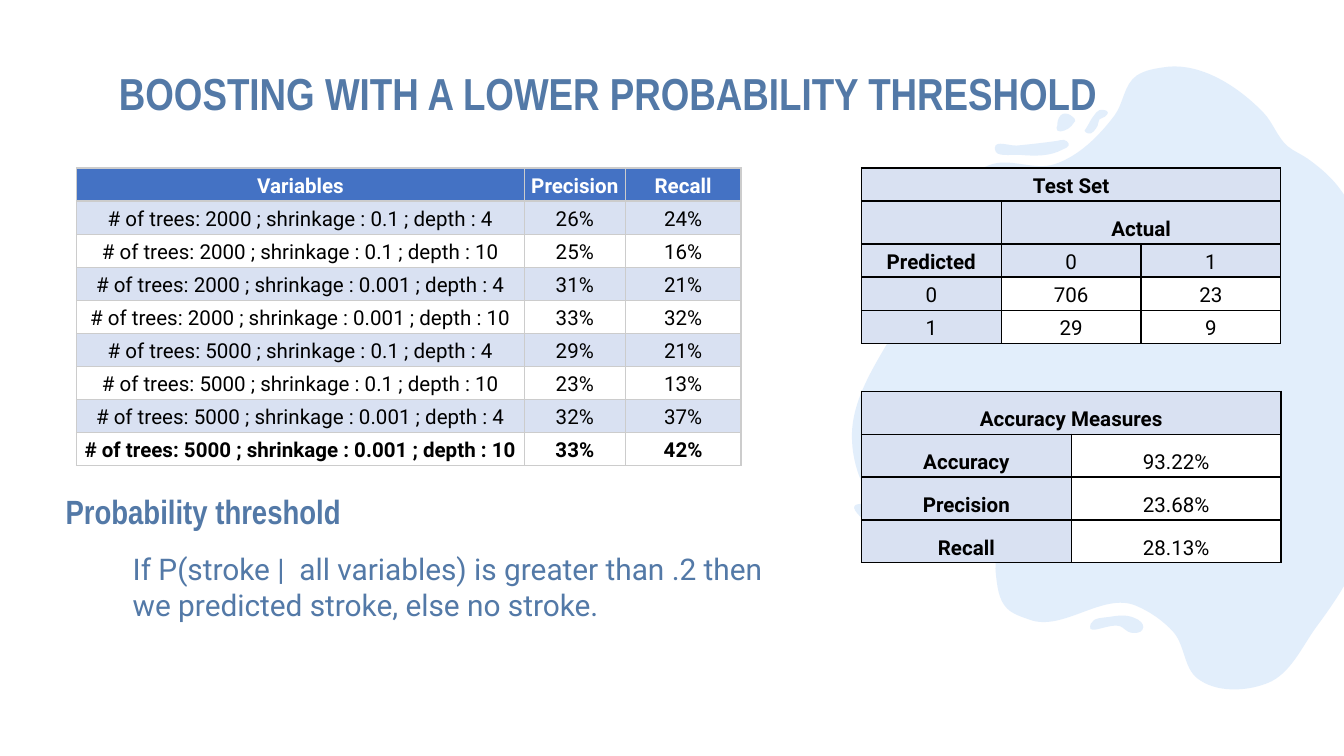
"""Build the slide on boosting with a lower probability threshold."""
import dataclasses
import math
import typing

import lxml.etree
import pptx
import pptx.dml.color
import pptx.enum.text
import pptx.oxml.ns
import pptx.util

Pt = pptx.util.Pt
qn = pptx.oxml.ns.qn
SubElement = lxml.etree.SubElement
ALIGN = pptx.enum.text.PP_ALIGN
ANCHOR = pptx.enum.text.MSO_ANCHOR
COLORS = {"ink": "5379A7", "blob": "9EC5F3", "header": "4472C4", "band": "D9E1F2",
          "grid": "CCCCCC", "black": "000000", "white": "FFFFFF"}
Point = tuple[float, float]

BLOB = [
    (456.5, 237), (486, 165), (508, 124.5), (507.5, 120), (506, 109.5), (530, 88.5), (565, 88),
    (597, 62), (609, 40.5), (624, 36), (677, 60.5), (690, 78.5), (700.5, 85), (716.5, 99.5),
    (726, 116), (728.5, 134), (729.5, 136), (722, 151), (726.5, 173), (726.5, 175), (723, 207.5),
    (729.5, 283), (729.5, 289), (728.5, 296.5), (723.5, 307.5), (705.5, 335.5), (679, 366),
    (641.5, 363.5), (628.5, 338.5), (608.5, 324.5), (551.5, 332), (539.5, 326), (533.5, 307.5),
    (533.5, 296.5), (533.5, 292.5), (523.5, 269.5), (512, 268), (471.5, 270.5), (457, 242),
]
SPLASHES = [
    [(533, 80), (533, 79), (545, 78), (566.5, 75.5), (570, 75), (572.5, 77), (572.5, 78),
     (569.5, 80), (546.5, 83)],
    [(566, 68.5), (566.5, 67), (566.5, 66), (569.5, 61), (574.5, 62.5), (576, 65), (575.5, 65.5),
     (574, 67.5), (570, 70), (566.5, 70)],
    [(581, 70), (582, 68.5), (586, 62), (589, 59), (593.5, 60.5), (592, 62.5), (589, 64),
     (588, 67.5), (583, 71.5)],
    [(458.5, 270.5), (461.5, 270), (468, 275), (476, 278), (494, 276.5), (497.5, 277), (498, 278),
     (496, 281), (487.5, 283.5), (471, 283), (467.5, 282), (464.5, 280)],
    [(478, 291), (478, 290), (479.5, 288.5), (484, 287.5), (487.5, 288.5), (487.5, 289.5),
     (486.5, 292.5), (483, 293), (479.5, 293)],
    [(493, 294.5), (494.5, 290), (498, 288), (503.5, 288.5), (507.5, 288), (512, 288),
     (512, 289.5), (510.5, 292.5), (505.5, 294), (502, 296), (500.5, 299)],
    [(584, 335.5), (584.5, 334), (594.5, 330.5), (607.5, 331), (611.5, 333.5), (612.5, 336),
     (612, 337.5), (606, 339), (600, 335.5)],
]


@dataclasses.dataclass
class Cell:
    text: str = ""
    fill: str | None = "band"
    bold: bool = False
    color: str = "black"
    span: int = 1


@dataclasses.dataclass
class Grid:
    left: float
    top: float
    widths: list[float]
    heights: list[float]
    border: str
    rows: list[list[Cell]]


@dataclasses.dataclass
class Label:
    text: str
    box: tuple[float, float, float, float]
    font: str
    size: float
    bold: bool = False
    indent: float = 0
    after: float = 0
    spacing: float = 1.0


def apply(obj: typing.Any, values: dict[str, typing.Any]) -> None:
    for name, value in values.items():
        setattr(obj, name, value)


def paint(fill: typing.Any, color: str) -> None:
    fill.solid()
    fill.fore_color.rgb = pptx.dml.color.RGBColor.from_string(COLORS[color])


def add_run(p: typing.Any, text: str, font: str, size: float, bold: bool, color: str) -> None:
    r = p.add_run()
    r.text = text
    apply(r.font, {"name": font, "size": Pt(size), "bold": bold})
    paint(r.font.fill, color)


def tangent(a: Point, b: Point, c: Point) -> Point:
    before, after = math.dist(a, b) ** 2, math.dist(b, c) ** 2
    x, y = ((b[k] - a[k]) / before + (c[k] - b[k]) / after for k in (0, 1))
    return x / math.hypot(x, y), y / math.hypot(x, y)


def draw_splash(slide: typing.Any, knots: list[Point]) -> None:
    start, *rest = [(Pt(x), Pt(y)) for x, y in knots]
    builder = slide.shapes.build_freeform(*start)
    builder.add_line_segments([*rest, start], close=True)
    sp = builder.convert_to_shape()
    sp.shadow.inherit = False
    sp.line.fill.background()
    paint(sp.fill, "blob")
    color = sp._element.spPr.find(".//" + qn("a:srgbClr"))
    SubElement(color, qn("a:alpha"), val="29000")
    ends = list(sp._element.iter(qn("a:pt")))
    spots = [(int(pt.get("x")), int(pt.get("y"))) for pt in ends[:-1]]
    n = len(spots)
    slopes = [tangent(spots[i - 1], spots[i], spots[(i + 1) % n]) for i in range(n)]
    for i, pt in enumerate(ends[1:]):
        j = (i + 1) % n
        reach = math.dist(spots[i], spots[j]) / 3
        segment = pt.getparent()
        segment.tag = qn("a:cubicBezTo")
        for index, (k, sign) in enumerate(((i, 1), (j, -1))):
            x, y = (round(spots[k][d] + sign * reach * slopes[k][d]) for d in (0, 1))
            segment.insert(index, lxml.etree.Element(qn("a:pt"), x=str(x), y=str(y)))


def draw_borders(tc: typing.Any, color: str) -> None:
    for side in ("a:lnL", "a:lnR", "a:lnT", "a:lnB"):
        ln = SubElement(tc.get_or_add_tcPr(), qn(side), w=str(Pt(0.75)))
        SubElement(SubElement(ln, qn("a:solidFill")), qn("a:srgbClr"), val=COLORS[color])


def draw_cell(target: typing.Any, cell: Cell) -> None:
    apply(target, {"vertical_anchor": ANCHOR.BOTTOM, "margin_left": Pt(2), "margin_right": Pt(2),
                   "margin_top": Pt(1.5), "margin_bottom": Pt(1.5)})
    if cell.fill:
        paint(target.fill, cell.fill)
    p = target.text_frame.paragraphs[0]
    apply(p, {"alignment": ALIGN.CENTER, "line_spacing": 1.15})
    if cell.text:
        add_run(p, cell.text, "Roboto", 11, cell.bold, cell.color)
    else:
        SubElement(p._p, qn("a:endParaRPr"), sz="1100")


def draw_grid(slide: typing.Any, grid: Grid) -> None:
    box = map(Pt, (grid.left, grid.top, sum(grid.widths), sum(grid.heights)))
    table = slide.shapes.add_table(len(grid.heights), len(grid.widths), *box).table
    apply(table, {"first_row": False, "horz_banding": False})
    table._tbl.tblPr.find(qn("a:tableStyleId")).text = "{2D5ABB26-0587-4C30-8999-92F81FD0307C}"
    for column, width in zip(table.columns, grid.widths):
        column.width = Pt(width)
    for i, (row, height) in enumerate(zip(grid.rows, grid.heights)):
        table.rows[i].height = Pt(height)
        for target in table.rows[i].cells:
            draw_borders(target._tc, grid.border)
        j = 0
        for cell in row:
            if cell.span > 1:
                table.cell(i, j).merge(table.cell(i, j + cell.span - 1))
            draw_cell(table.cell(i, j), cell)
            j += cell.span


def draw_label(sp: typing.Any, label: Label) -> None:
    apply(sp, dict(zip(("left", "top", "width", "height"), map(Pt, label.box))))
    tf = sp.text_frame
    apply(tf, {"word_wrap": True, "vertical_anchor": ANCHOR.MIDDLE})
    apply(tf, {f"margin_{side}": Pt(7.2) for side in ("left", "right", "top", "bottom")})
    p = tf.paragraphs[0]
    apply(p, {"alignment": ALIGN.LEFT, "space_after": Pt(label.after),
              "line_spacing": label.spacing})
    p._p.get_or_add_pPr().set("marL", str(Pt(label.indent)))
    add_run(p, label.text, label.font, label.size, label.bold, "ink")


def tuning_rows() -> list[list[Cell]]:
    scores = iter("26% 24% 25% 16% 31% 21% 33% 32% 29% 21% 23% 13% 32% 37% 33% 42%".split())
    rows = [[Cell(t, "header", True, "white") for t in ("Variables", "Precision", "Recall")]]
    for trees, shrinkage, depth in [(t, s, d) for t in (2000, 5000) for s in (0.1, 0.001)
                                    for d in (4, 10)]:
        name = f"# of trees: {trees} ; shrinkage : {shrinkage} ; depth : {depth}"
        best = (trees, shrinkage, depth) == (5000, 0.001, 10)
        fill = "band" if depth == 4 else None
        rows.append([Cell(t, fill, best) for t in (name, next(scores), next(scores))])
    return rows


def main() -> None:
    prs = pptx.Presentation()
    apply(prs, {"slide_width": Pt(720), "slide_height": Pt(405)})
    slide = prs.slides.add_slide(prs.slide_layouts[5])
    for knots in (BLOB, *SPLASHES):
        draw_splash(slide, knots)
    title = slide.shapes.title
    slide.shapes._spTree.append(title._element)
    draw_label(title, Label("BOOSTING WITH A LOWER PROBABILITY THRESHOLD",
                            (56.5, 28, 607, 47), "Arial Narrow", 24, True, spacing=0.9))
    measures = [("Accuracy", "93.22%"), ("Precision", "23.68%"), ("Recall", "28.13%")]
    accuracy = [[Cell("Accuracy Measures", bold=True, span=2)]]
    accuracy += [[Cell(name, bold=True), Cell(value, "white")] for name, value in measures]
    confusion = [[Cell("Test Set", bold=True, span=3)],
                 [Cell(), Cell("Actual", bold=True, span=2)],
                 [Cell("Predicted", bold=True), Cell("0"), Cell("1")],
                 [Cell("0"), Cell("706", "white"), Cell("23", "white")],
                 [Cell("1"), Cell("29", "white"), Cell("9", "white")]]
    draw_grid(slide, Grid(41, 90, [240, 54, 62], [16.5] * 9, "grid", tuning_rows()))
    draw_grid(slide, Grid(461.5, 209.6, [112.4] * 2, [23] * 4, "black", accuracy))
    draw_grid(slide, Grid(461.5, 90, [74.9] * 3, [16.5, 23, *[16.5] * 3], "black", confusion))
    rule = "If P(stroke |  all variables) is greater than .2 then we predicted stroke, else no stroke."
    for label in (Label("Probability threshold", (28, 263, 240, 21.5), "Arial Narrow", 18, True),
                  Label(rule, (28, 291.5, 398, 45.5), "Roboto", 16, indent=36, after=16)):
        draw_label(slide.shapes.add_textbox(0, 0, 0, 0), label)
    prs.save("out.pptx")


if __name__ == "__main__":
    main()
